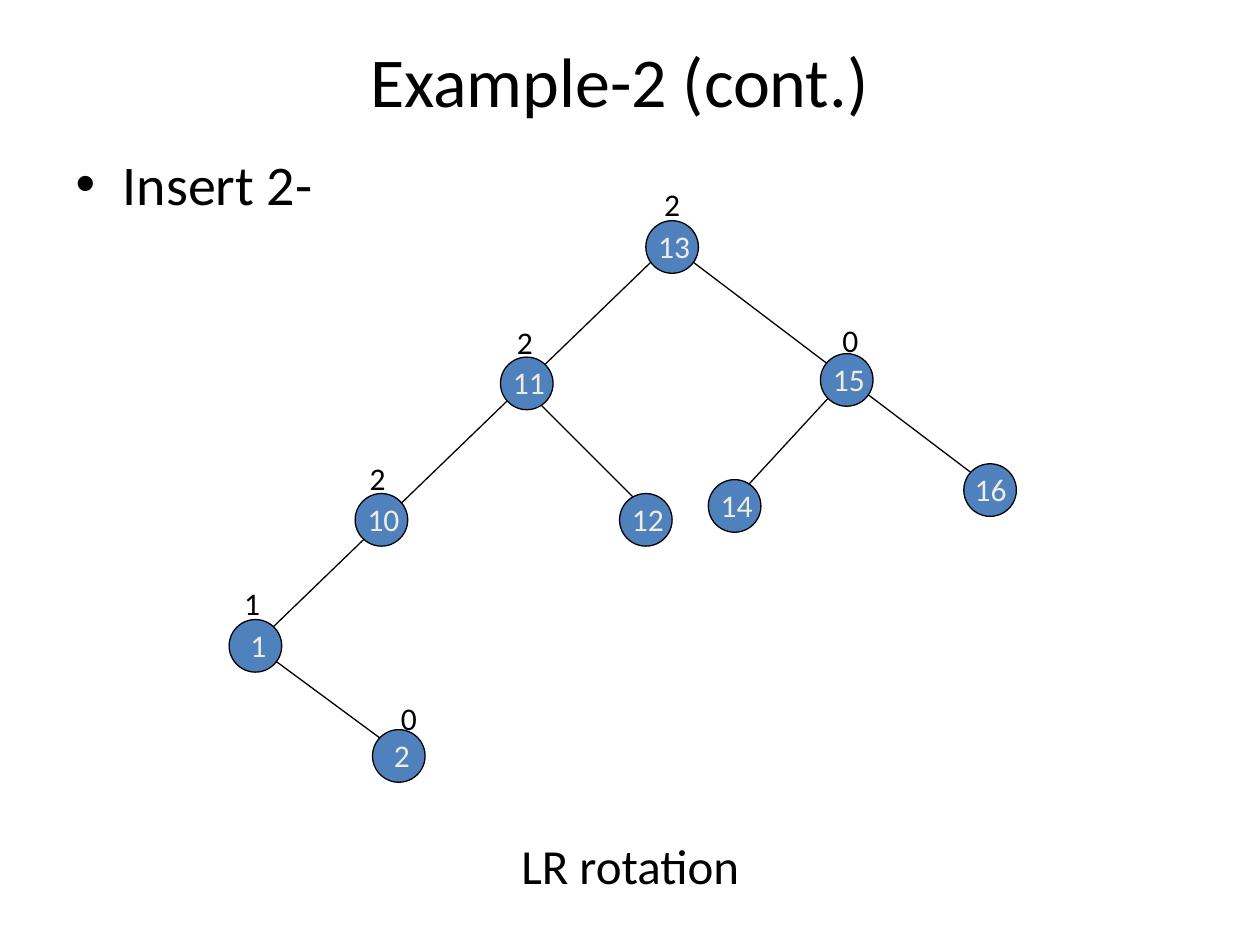
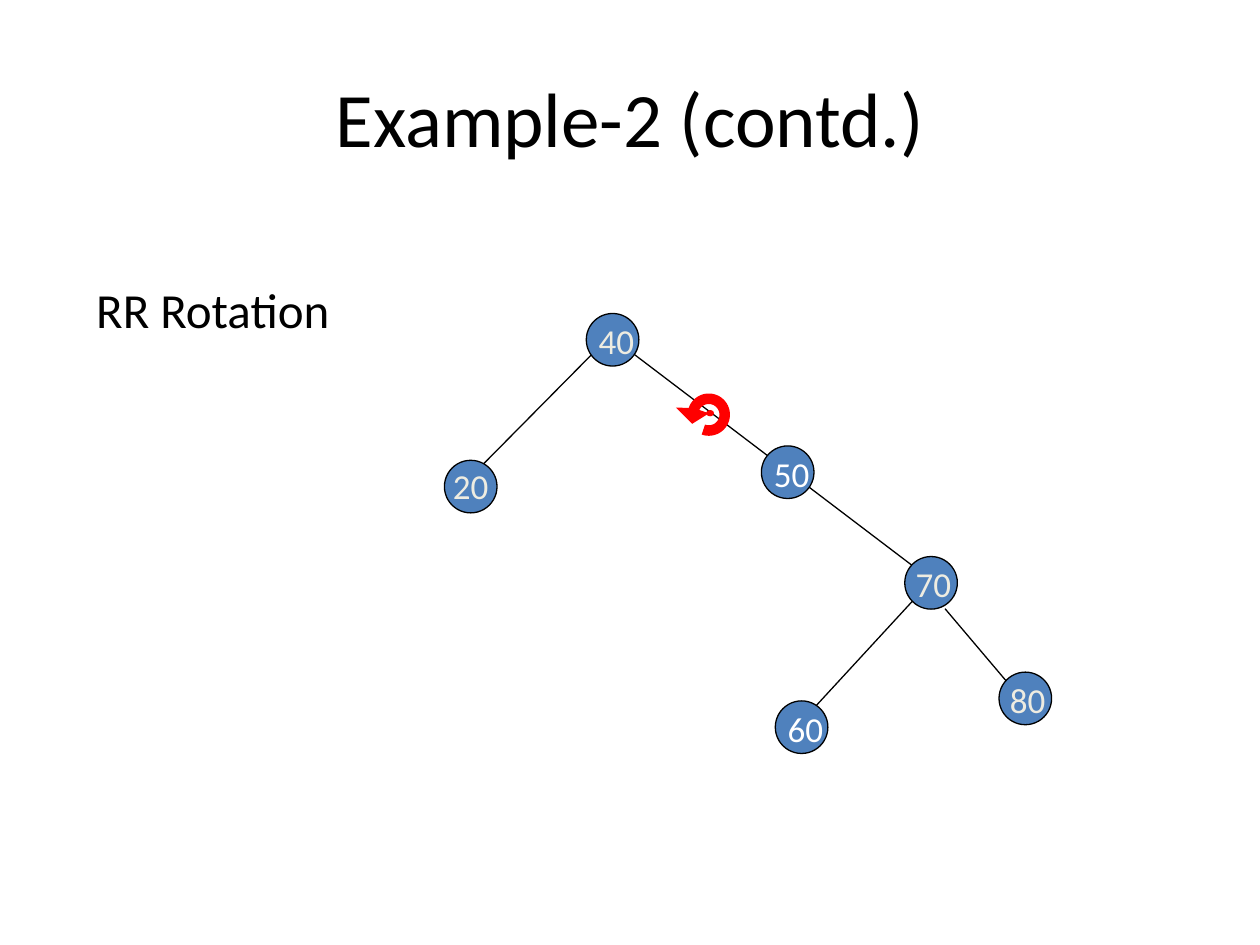
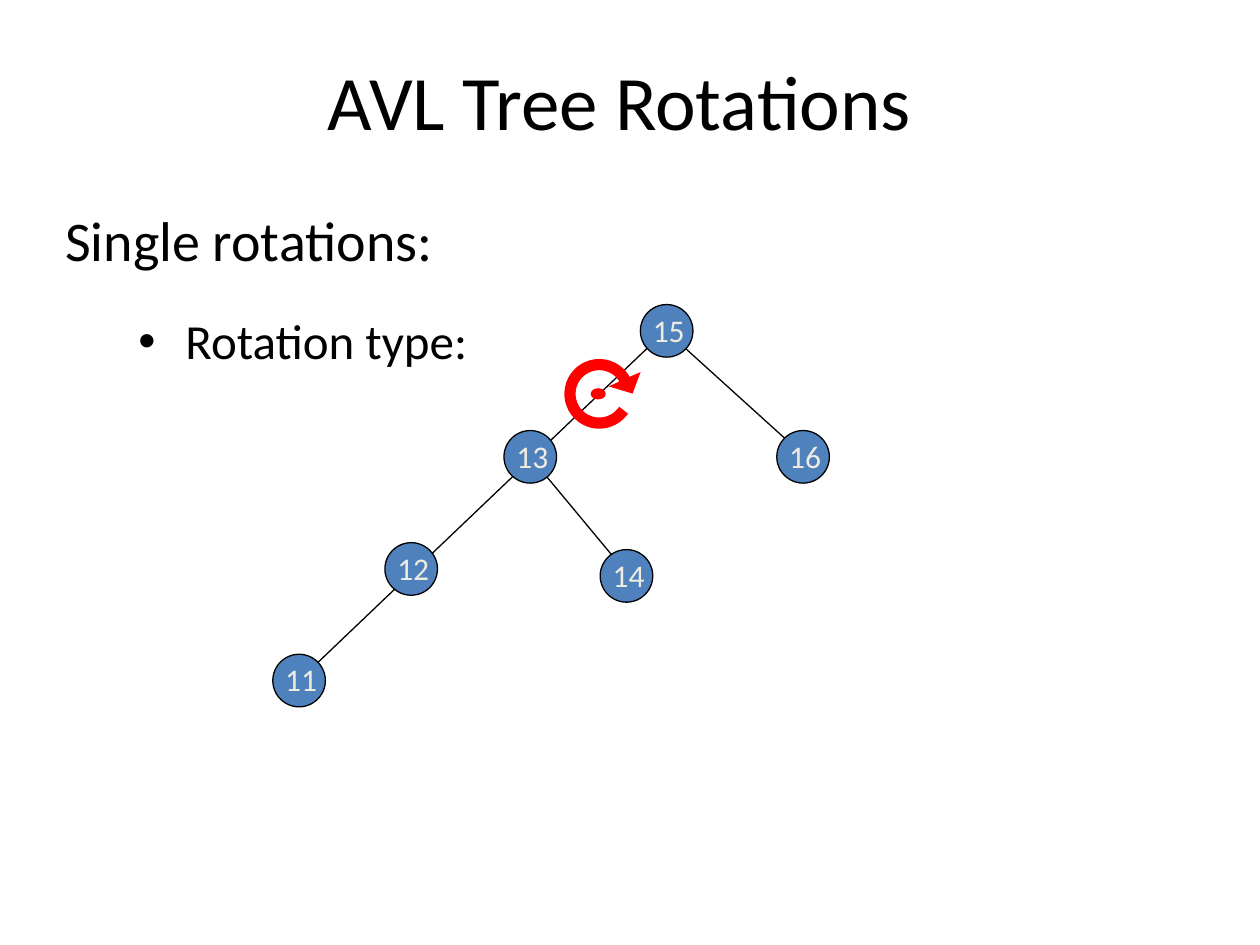
import math
from dataclasses import dataclass

import pptx
import pptx.dml.color
import pptx.enum.shapes
import pptx.enum.text
import pptx.oxml.ns
import pptx.util
from lxml import etree

Cm = pptx.util.Cm
Pt = pptx.util.Pt
qn = pptx.oxml.ns.qn
OVAL = pptx.enum.shapes.MSO_SHAPE.OVAL
STRAIGHT = pptx.enum.shapes.MSO_CONNECTOR.STRAIGHT


@dataclass(frozen=True)
class Theme:
    font: str = "Calibri"
    black: str = "000000"
    white: str = "FFFFFF"
    cream: str = "EEECE1"
    blue: str = "4F81BD"
    red: str = "FF0000"
    thin: float = 0.75
    small: int = 18
    mid: int = 28
    big: int = 32
    node: float = 1.06
    wide: float = 1.27
    indent: float = 0.95


theme = Theme()


def write(shape, text, size, tint=theme.black, wrap=True, bullet=None):
    frame = shape.text_frame
    frame.word_wrap = wrap
    frame.text = text
    line = frame.paragraphs[0]
    line.space_before = Pt(0)
    if bullet is not None:
        props = line._p.get_or_add_pPr()
        props.set("marL", str(Cm(theme.indent)))
        props.set("indent", str(-Cm(theme.indent)))
        if bullet:
            etree.SubElement(props, qn("a:buFont"), typeface="Arial")
            etree.SubElement(props, qn("a:buChar"), char=bullet)
        else:
            etree.SubElement(props, qn("a:buNone"))
    line.font.name = theme.font
    line.font.size = Pt(size)
    line.font.color.rgb = pptx.dml.color.RGBColor.from_string(tint)


def paint(shape, fill, edge, width=theme.thin):
    shape.shadow.inherit = False
    shape.fill.solid()
    shape.fill.fore_color.rgb = pptx.dml.color.RGBColor.from_string(fill)
    shape.line.color.rgb = pptx.dml.color.RGBColor.from_string(edge)
    shape.line.width = Pt(width)


hook = [(14.29 + 0.32 * math.cos(math.radians(a)), 8.36 + 0.32 * math.sin(math.radians(a)))
        for a in range(185, 471, 5)]
hook += hook[::-1] + [(13.89, 8.33), (13.97, 8.41), (14.05, 8.36)]

sweep = range(-25, -322, -8)
ring = [(12.08 + r * math.cos(math.radians(a)), 7.94 + r * math.sin(math.radians(a)))
        for r, turn in ((0.53, sweep), (0.65, sweep[::-1])) for a in turn]
ring += [(12.82, 7.6), (12.72, 7.87), (12.42, 7.78)]

pages = [
    dict(
        layout=1, title="Example-2 (cont.)", head=40, place=(3.81, 0.62, 17.35, 1.96),
        body="Insert 2-", area=(1.27, 2.88, 22.86, 12.57), bullet="•",
        edges=[(10.64, 7.9, 13.18, 10.44), (4.98, 12.9, 8.15, 15.24), (17.07, 7.62, 14.96, 9.91),
               (4.78, 13.34, 13.54, 4.88), (13.44, 4.88, 19.58, 9.53)],
        size=theme.small, tall=1.02,
        nodes=[("13", 13.02, 4.45), ("15", 16.54, 7.13), ("16", 19.43, 9.35), ("11", 10.09, 7.2),
               ("14", 14.28, 9.67), ("10", 7.16, 9.95), ("1", 4.62, 12.49), ("2", 7.51, 14.71),
               ("12", 12.49, 9.95)],
        shift={"1": (0.18, 0), "2": (0.18, 0), "16": (-0.03, 0)},
        notes=[(text, x, y, 0.84, 1.02, theme.small) for text, x, y in (
            ("0", 7.83, 13.97), ("1", 4.67, 11.64), ("2", 7.2, 9.13),
            ("2", 10.17, 6.38), ("0", 16.73, 6.35), ("2", 13.14, 3.61))]
        + [("LR rotation", 10.26, 16.71, 5.18, 1.45, theme.mid)],
    ),
    dict(
        layout=5, title="Example-2 (contd.)", head=44, place=(1.27, 0.76, 22.86, 3.18),
        edges=[(18.42, 12.09, 16.31, 14.38), (9.6, 9.5, 12.34, 6.73), (12.24, 6.73, 18.39, 11.4),
               (19.05, 12.27, 20.32, 13.77)],
        size=20, tall=1.12,
        nodes=[("40", 11.82, 6.32), ("50", 15.35, 8.99), ("70", 18.24, 11.22), ("20", 8.96, 9.28),
               ("60", 15.63, 14.13), ("80", 20.14, 13.55)],
        shift={"20": (-0.08, -0.05), "70": (-0.03, 0), "80": (-0.03, 0)}, bright=("50", "60"),
        notes=[("RR Rotation", 1.69, 5.51, 5.28, 1.45, theme.mid)],
        arrow=hook, stroke=6, dot=(14.25, 8.28, 0.13, 0.1),
    ),
    dict(
        layout=1, title="AVL Tree Rotations", head=44, place=(1.7, 0.42, 21.59, 3.18),
        body="Single rotations:", area=(1.06, 4.02, 23.7, 1.7), bullet="",
        edges=[(10.59, 9.09, 12.7, 11.63), (5.92, 13.82, 13.54, 6.55), (13.77, 6.98, 15.88, 8.89)],
        size=theme.small, tall=1.02,
        nodes=[("13", 10.16, 8.68), ("15", 12.91, 6.14), ("16", 15.66, 8.68), ("12", 7.76, 10.94),
               ("14", 12.1, 11.08), ("11", 5.5, 13.19)],
        shift={}, notes=[],
        arrow=ring, stroke=3, dot=(11.92, 7.84, 0.28, 0.2),
    ),
]

deck = pptx.Presentation()
deck.slide_width = Cm(25.4)
deck.slide_height = Cm(19.05)

for page in pages:
    slide = deck.slides.add_slide(deck.slide_layouts[page["layout"]])
    shapes = slide.shapes

    title = shapes.title
    title.left, title.top, title.width, title.height = map(Cm, page["place"])
    write(title, page["title"], page["head"])

    if "body" in page:
        body = slide.placeholders[1]
        body.left, body.top, body.width, body.height = map(Cm, page["area"])
        write(body, page["body"], theme.big, bullet=page["bullet"])

    for x, y, end, base in page["edges"]:
        edge = shapes.add_connector(STRAIGHT, Cm(x), Cm(y), Cm(end), Cm(base))
        edge.line.color.rgb = pptx.dml.color.RGBColor.from_string(theme.black)
        edge.line.width = Pt(theme.thin)
        etree.SubElement(edge._element.spPr, qn("a:effectLst"))

    for key, x, y in page["nodes"]:
        node = shapes.add_shape(OVAL, Cm(x), Cm(y), Cm(theme.node), Cm(theme.node))
        paint(node, theme.blue, theme.black)
        right, down = page["shift"].get(key, (0, 0))
        label = shapes.add_textbox(Cm(x + right), Cm(y + down), Cm(theme.wide), Cm(page["tall"]))
        write(label, key, page["size"], theme.white if key in page.get("bright", ()) else theme.cream)

    for text, x, y, width, height, size in page["notes"]:
        note = shapes.add_textbox(Cm(x), Cm(y), Cm(width), Cm(height))
        write(note, text, size, wrap=False)

    if "arrow" in page:
        group = shapes.add_group_shape()
        points = [(Cm(x), Cm(y)) for x, y in page["arrow"]]
        pen = group.shapes.build_freeform(*points[0])
        pen.add_line_segments(points[1:], close=True)
        arrow = pen.convert_to_shape()
        paint(arrow, theme.red, theme.red, page["stroke"])
        etree.SubElement(arrow.line._get_or_add_ln(), qn("a:miter"), lim="800000")
        dot = group.shapes.add_shape(OVAL, *map(Cm, page["dot"]))
        paint(dot, theme.red, theme.red)

kind = shapes.add_textbox(Cm(2.54), Cm(6.14), Cm(9.32), Cm(1.7))
write(kind, "Rotation type:", theme.mid, bullet="•")

deck.save("out.pptx")
